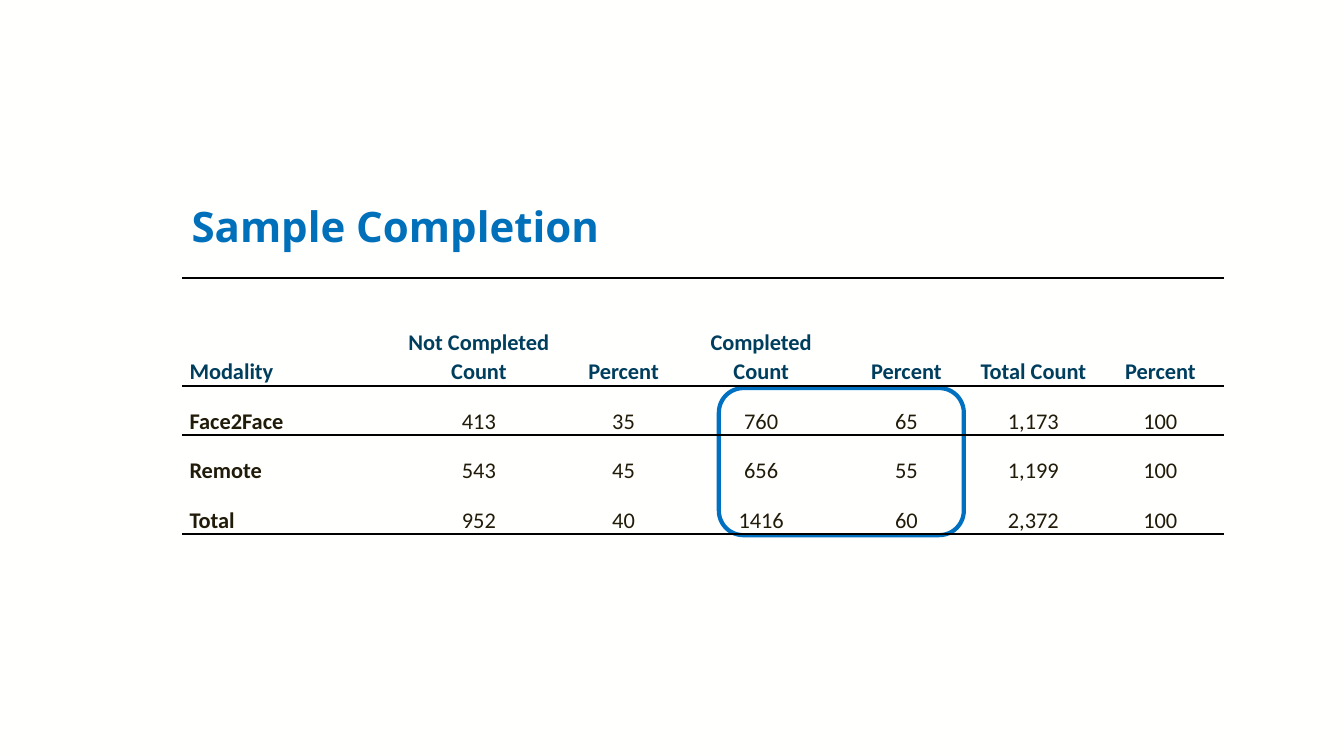
from lxml.etree import SubElement
from pptx import Presentation
from pptx.dml.color import RGBColor
from pptx.enum.shapes import MSO_SHAPE
from pptx.enum.text import MSO_ANCHOR, PP_ALIGN
from pptx.oxml.ns import qn
from pptx.util import Inches, Pt

TITLE = "Sample Completion"
ROWS = [
    ("Modality\u00a0", "Not Completed Count", "Percent", "Completed Count",
     "Percent", "Total Count", "Percent"),
    ("Face2Face", "413", "35", "760", "65", "1,173", "100"),
    ("Remote", "543", "45", "656", "55", "1,199", "100"),
    ("Total", "952", "40", "1416", "60", "2,372", "100"),
]
WIDTHS = [2.06, 1.76, 1.11, 1.62, 1.26, 1.26, 1.26]
HEIGHTS = [1.07] + [0.49] * 3
RULES = {0: ("a:lnT", "a:lnB"), 1: ("a:lnT",), 3: ("a:lnB",)}
COLORS = {"back": "FFFFFE", "title": "0070BA", "frame": "0070C0",
          "head": "003E5E", "body": "211B09", "rule": "000000"}
PLAIN = "{2D5ABB26-0587-4C30-8999-92F81FD0307C}"  # no style, no grid


def color(name):
    return RGBColor.from_string(COLORS[name])


def style(par, font, size, tint, bold):
    for run in par.runs:
        run.font.name = font
        run.font.size = Pt(size)
        run.font.bold = bold
        run.font.color.rgb = color(tint)


def rule(cell, tag):
    """Draw one edge of a cell."""
    props = cell._tc.get_or_add_tcPr()
    line = SubElement(props, qn(tag), w=str(Pt(1.5)))
    fill = SubElement(line, qn("a:solidFill"))
    SubElement(fill, qn("a:srgbClr"), val=COLORS["rule"])


def add_title(slide):
    title = slide.shapes.title
    title.left, title.top = Inches(1.8), Inches(1.64)
    title.width, title.height = Inches(10.87), Inches(1.26)
    frame = title.text_frame
    frame.text = TITLE
    frame.vertical_anchor = MSO_ANCHOR.MIDDLE
    par = frame.paragraphs[0]
    par.alignment = PP_ALIGN.LEFT
    par.line_spacing = 0.9
    style(par, "Open Sans", 30, "title", True)


def add_frame(slide):
    """Outline the completed columns."""
    box = slide.shapes.add_shape(
        MSO_SHAPE.ROUNDED_RECTANGLE,
        Inches(7.13), Inches(3.85), Inches(2.43), Inches(1.46))
    box.shadow.inherit = False
    box.fill.background()
    box.line.color.rgb = color("frame")
    box.line.width = Pt(3)


def fill_cell(cell, text, row, col):
    cell.text = text
    cell.vertical_anchor = MSO_ANCHOR.BOTTOM
    cell.margin_left = cell.margin_right = Inches(0.07)
    cell.margin_top = cell.margin_bottom = 0
    par = cell.text_frame.paragraphs[0]
    par.alignment = PP_ALIGN.CENTER if col else PP_ALIGN.LEFT
    par.line_spacing = 1.07
    style(par, "Calibri", 16, "body" if row else "head", row == 0 or col == 0)
    for tag in RULES.get(row, ()):
        rule(cell, tag)
    cell.fill.background()


def add_grid(slide):
    shape = slide.shapes.add_table(
        len(ROWS), len(WIDTHS), Inches(1.81), Inches(2.76),
        Inches(sum(WIDTHS)), Inches(sum(HEIGHTS)))
    table = shape.table
    table.horz_banding = False
    for mark in table._tbl.iter(qn("a:tableStyleId")):
        mark.text = PLAIN
    for col, width in zip(table.columns, WIDTHS):
        col.width = Inches(width)
    for row, height in zip(table.rows, HEIGHTS):
        row.height = Inches(height)
    for r, texts in enumerate(ROWS):
        for c, text in enumerate(texts):
            fill_cell(table.cell(r, c), text, r, c)


def main():
    deck = Presentation()
    deck.slide_width, deck.slide_height = Inches(13.33), Inches(7.5)
    slide = deck.slides.add_slide(deck.slide_layouts[5])
    back = slide.background.fill
    back.solid()
    back.fore_color.rgb = color("back")
    add_title(slide)
    add_frame(slide)
    add_grid(slide)
    deck.save("out.pptx")


if __name__ == "__main__":
    main()
